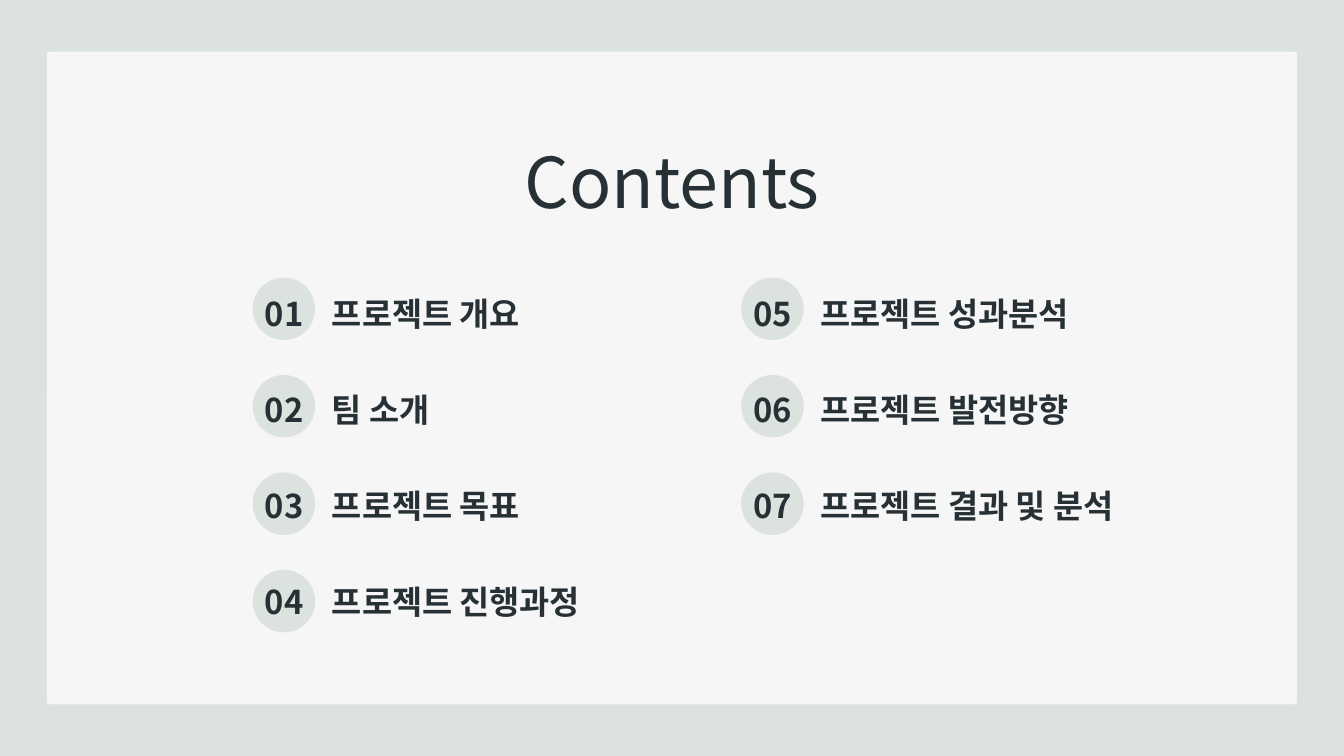
from dataclasses import dataclass

from lxml import etree
from pptx import Presentation
from pptx.dml.color import RGBColor
from pptx.enum.shapes import MSO_SHAPE
from pptx.enum.text import MSO_ANCHOR, MSO_AUTO_SIZE, PP_ALIGN
from pptx.oxml.ns import qn
from pptx.util import Inches, Pt

ROUNDED = MSO_SHAPE.ROUNDED_RECTANGLE
OVAL = MSO_SHAPE.OVAL
TOP, MIDDLE = MSO_ANCHOR.TOP, MSO_ANCHOR.MIDDLE
LEFT, CENTER = PP_ALIGN.LEFT, PP_ALIGN.CENTER
NO_FIT = MSO_AUTO_SIZE.NONE

TITLE = "Contents"
COLUMNS = [
    ["프로젝트 개요", "팀 소개", "프로젝트 목표", "프로젝트 진행과정"],
    ["프로젝트 성과분석", "프로젝트 발전방향", "프로젝트 결과 및 분석"],
]


@dataclass(frozen=True)
class Theme:
    sage: RGBColor = RGBColor.from_string("DCE2DE")
    paper: RGBColor = RGBColor.from_string("F6F6F6")
    ink: RGBColor = RGBColor.from_string("263035")
    font: str = "Noto Sans CJK KR"
    title_size: float = 75
    item_size: float = 35.1
    line_spacing: float = 1.19


THEME = Theme()
WIDTH, HEIGHT = 20, 11.25
MARGIN_X, MARGIN_Y = 0.7, 0.77
TITLE_TOP, TITLE_WIDTH, TITLE_HEIGHT = 1.82, 5.89, 1.28
GRID_LEFT, COLUMN_STEP = 3.76, 7.27
CIRCLE_TOP, CIRCLE_STEP, CIRCLE_SIZE = 4.13, 1.45, 0.93
TEXT_TOP, TEXT_STEP, TEXT_INSET = 4.31, 1.43, 0.18
TEXT_WIDTHS, TEXT_HEIGHT = [7.34, 6.85], 0.6
NAME_TAB = 1


def add_filled(slide, kind, left, top, width, height, color):
    shape = slide.shapes.add_shape(
        kind, Inches(left), Inches(top), Inches(width), Inches(height))
    shape.shadow.inherit = False
    shape.fill.solid()
    shape.fill.fore_color.rgb = color
    shape.line.fill.background()
    return shape


def write(shape, text, size, bold, alignment, anchor, tab=None):
    frame = shape.text_frame
    frame.margin_left = frame.margin_top = 0
    frame.margin_right = frame.margin_bottom = 0
    frame.word_wrap = True
    frame.auto_size = NO_FIT
    frame.vertical_anchor = anchor
    frame.text = text
    paragraph = frame.paragraphs[0]
    paragraph.alignment = alignment
    paragraph.line_spacing = THEME.line_spacing
    paragraph.space_before = Pt(0)
    properties = paragraph._p.get_or_add_pPr()
    if tab is not None:
        tabs = etree.SubElement(properties, qn("a:tabLst"))
        etree.SubElement(tabs, qn("a:tab"), pos=str(Inches(tab)), algn="l")
    paragraph.font.name = THEME.font
    paragraph.font.size = Pt(size)
    paragraph.font.bold = bold
    paragraph.font.color.rgb = THEME.ink
    east_asian = etree.SubElement(properties.find(qn("a:defRPr")), qn("a:ea"))
    east_asian.set("typeface", THEME.font)


def add_item(slide, column, row, number, name):
    left = GRID_LEFT + column * COLUMN_STEP
    add_filled(slide, OVAL, left, CIRCLE_TOP + row * CIRCLE_STEP,
               CIRCLE_SIZE, CIRCLE_SIZE, THEME.sage)
    box = slide.shapes.add_textbox(
        Inches(left + TEXT_INSET), Inches(TEXT_TOP + row * TEXT_STEP),
        Inches(TEXT_WIDTHS[column]), Inches(TEXT_HEIGHT))
    write(box, f"{number:02d}\t{name}", THEME.item_size, True, LEFT, MIDDLE, NAME_TAB)


def add_title(slide):
    title = slide.shapes.title
    title.left, title.top = Inches((WIDTH - TITLE_WIDTH) / 2), Inches(TITLE_TOP)
    title.width, title.height = Inches(TITLE_WIDTH), Inches(TITLE_HEIGHT)
    write(title, TITLE, THEME.title_size, False, CENTER, TOP)
    title.element.getparent().append(title.element)


def main():
    presentation = Presentation()
    presentation.slide_width, presentation.slide_height = Inches(WIDTH), Inches(HEIGHT)
    slide = presentation.slides.add_slide(presentation.slide_layouts[5])
    slide.background.fill.solid()
    slide.background.fill.fore_color.rgb = THEME.sage

    panel = add_filled(slide, ROUNDED, MARGIN_X, MARGIN_Y,
                       WIDTH - 2 * MARGIN_X, HEIGHT - 2 * MARGIN_Y, THEME.paper)
    panel.adjustments[0] = 0.004

    number = 1
    for column, names in enumerate(COLUMNS):
        for row, name in enumerate(names):
            add_item(slide, column, row, number, name)
            number += 1
    add_title(slide)
    presentation.save("out.pptx")


if __name__ == "__main__":
    main()
